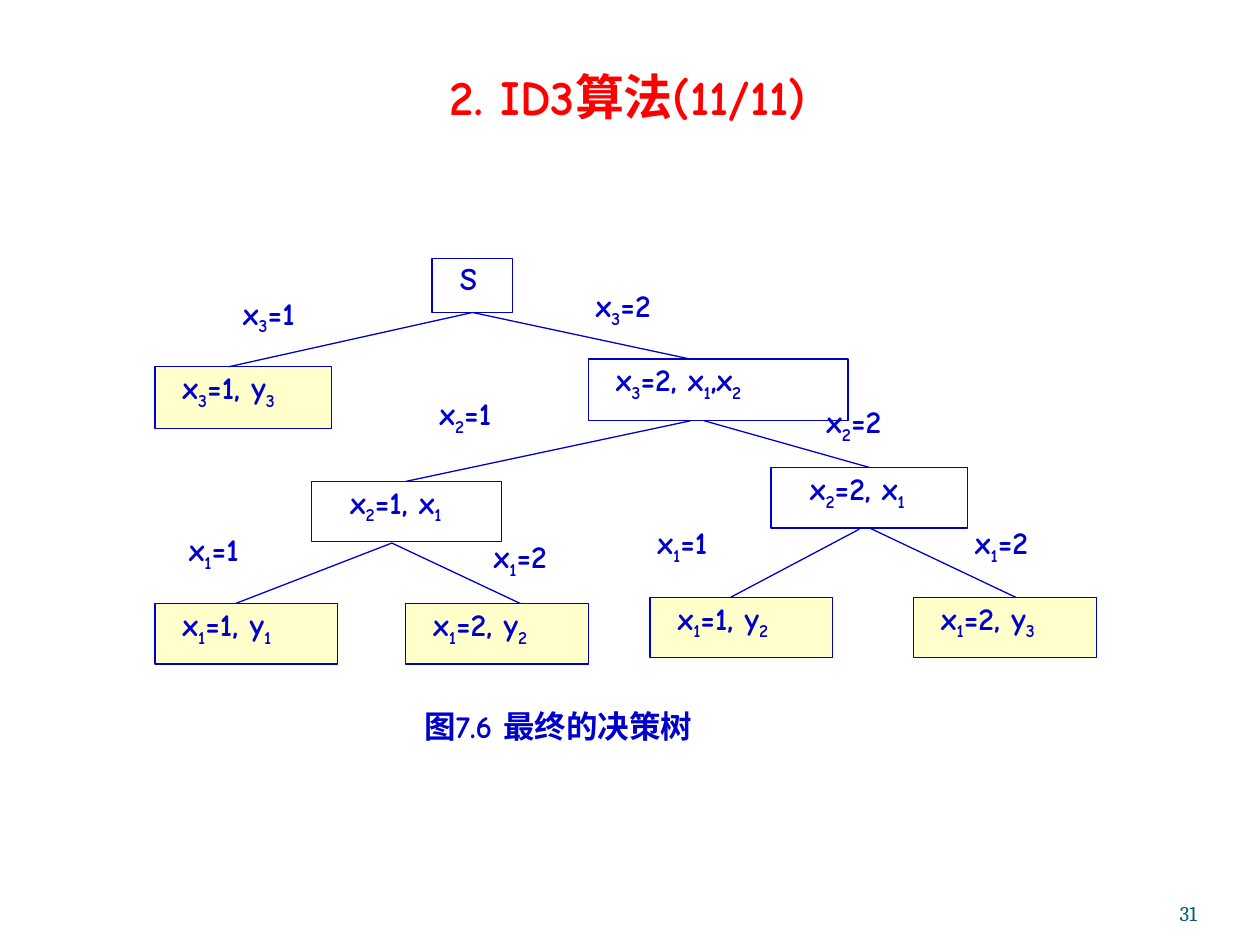
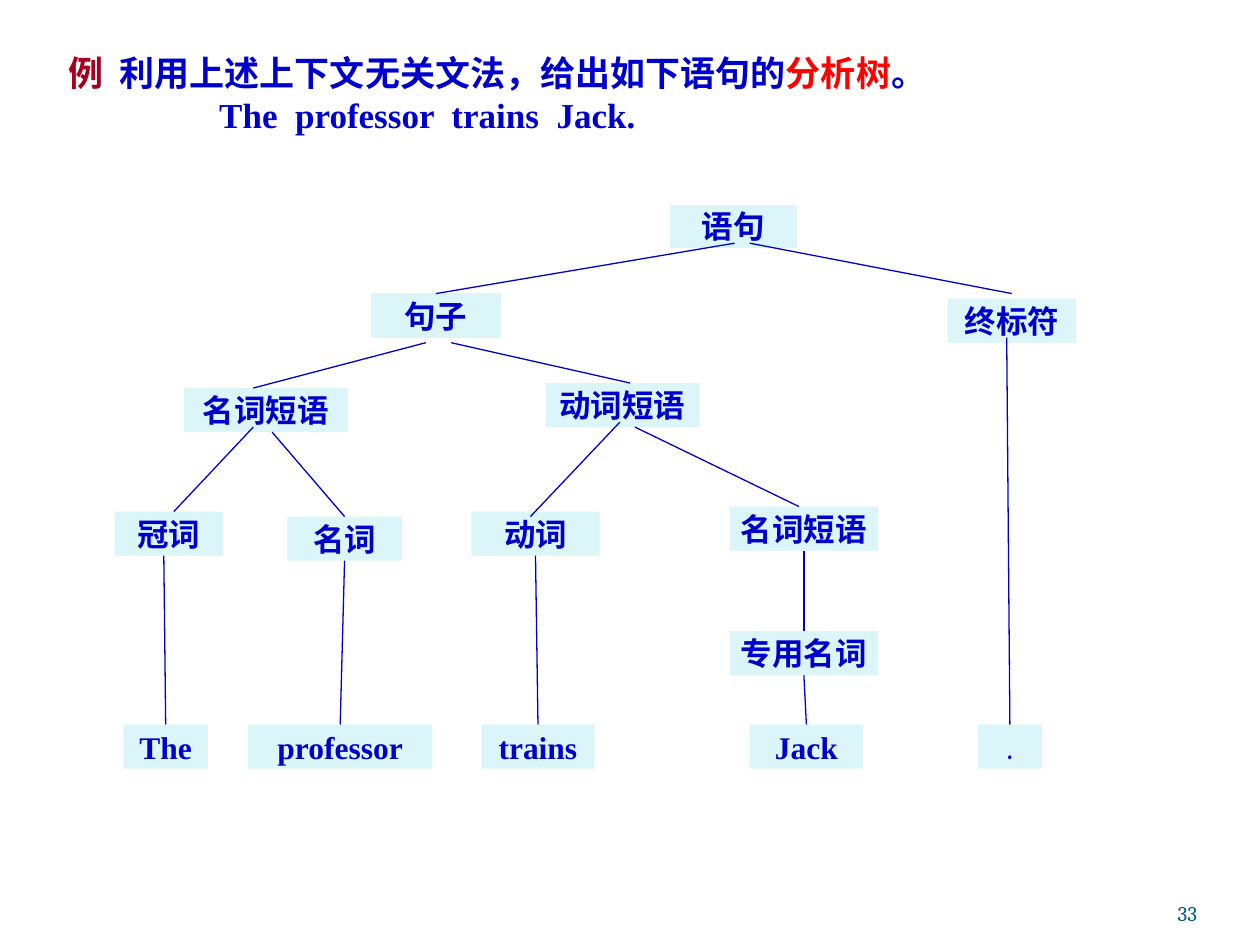
from dataclasses import dataclass

from lxml.etree import SubElement
from pptx import Presentation
from pptx.dml.color import RGBColor
from pptx.enum.shapes import MSO_CONNECTOR, MSO_SHAPE
from pptx.enum.text import MSO_ANCHOR, PP_ALIGN
from pptx.oxml.ns import qn
from pptx.util import Inches, Pt


@dataclass(frozen=True)
class Theme:
    blue: str = "0000CC"
    red: str = "FF0000"
    crimson: str = "A50021"
    teal: str = "045C75"
    white: str = "FFFFFF"
    leaf: str = "FFFFCC"
    aqua: str = "DBF5F9"
    hand: str = "Comic Neue"
    serif: str = "Times New Roman"
    footer: str = "Cambria"
    title_size: int = 28
    example_size: int = 20
    body_size: int = 18
    number_size: int = 12
    line_width: float = 0.75


THEME = Theme()
TIGHT = (0.06, 0.01, 0.06, 0.01)
PADDED = (0.1, 0.05, 0.1, 0.05)
JOIN_TOLERANCE = 0.03

DECISIONS = [
    ("S", 3.43, 2.05, 0.64, 0.43, THEME.white, 0.22),
    ("x_3=1, y_3", 1.23, 2.91, 1.4, 0.49, THEME.leaf, 0.22),
    ("x_3=2, x_1,x_2", 4.67, 2.85, 2.06, 0.49, THEME.white, 0.22),
    ("x_2=1, x_1", 2.47, 3.82, 1.51, 0.48, THEME.white, 0.31),
    ("x_2=2, x_1", 6.12, 3.71, 1.56, 0.48, THEME.white, 0.31),
    ("x_1=1, y_1", 1.23, 4.79, 1.45, 0.48, THEME.leaf, 0.22),
    ("x_1=2, y_2", 3.22, 4.79, 1.45, 0.48, THEME.leaf, 0.22),
    ("x_1=1, y_2", 5.16, 4.74, 1.45, 0.48, THEME.leaf, 0.22),
    ("x_1=2, y_3", 7.25, 4.74, 1.45, 0.48, THEME.leaf, 0.22),
]
DECISION_LINES = [
    (3.76, 2.48, 1.82, 2.91),
    (3.76, 2.48, 5.48, 2.85),
    (5.48, 3.34, 3.22, 3.82),
    (5.59, 3.34, 6.88, 3.71),
    (3.11, 4.31, 1.87, 4.79),
    (3.11, 4.31, 4.13, 4.79),
    (6.82, 4.2, 5.8, 4.74),
    (6.88, 4.2, 8.06, 4.74),
]
BRANCH_LABELS = [
    ("x_3=1", 1.87, 2.32),
    ("x_3=2", 4.67, 2.26),
    ("x_2=1", 3.43, 3.12),
    ("x_2=2", 6.5, 3.18),
    ("x_1=1", 1.44, 4.2),
    ("x_1=2", 3.86, 4.25),
    ("x_1=1", 5.16, 4.14),
    ("x_1=2", 7.68, 4.14),
]
GRAMMAR = [
    ("语句", 5.31, 1.62, 1.02),
    ("句子", 2.95, 2.33, 1.02),
    ("终标符", 7.52, 2.37, 1.02),
    ("动词短语", 4.33, 3.04, 1.22),
    ("名词短语", 1.46, 3.08, 1.3),
    ("冠词", 0.91, 4.06, 0.86),
    ("名词", 2.28, 4.1, 0.91),
    ("动词", 3.74, 4.06, 1.02),
    ("名词短语", 5.79, 4.02, 1.18),
    ("专用名词", 5.79, 5.01, 1.18),
]
WORDS = [
    ("The", 0.98, 0.67),
    ("professor", 1.97, 1.46),
    ("trains", 3.82, 0.9),
    ("Jack", 5.95, 0.9),
    (".", 7.76, 0.51),
]
WORD_TOP = 5.75
GRAMMAR_LINES = [
    (5.83, 1.93, 3.46, 2.33),
    (5.95, 1.93, 8.03, 2.33),
    (3.38, 2.72, 2.01, 3.08),
    (3.58, 2.72, 5, 3.04),
    (2.01, 3.39, 1.38, 4.06),
    (2.16, 3.43, 2.72, 4.1),
    (4.92, 3.35, 4.21, 4.1),
    (5.04, 3.39, 6.34, 4.02),
    (1.3, 4.41, 1.3, 5.72),
    (2.72, 4.46, 2.72, 5.75),
    (4.25, 4.38, 4.25, 5.75),
    (6.38, 4.34, 6.38, 5.01),
    (6.38, 5.36, 6.38, 5.72),
    (7.99, 2.68, 7.99, 5.72),
]


def color(value):
    return RGBColor.from_string(value)


def set_frame(shape, insets, anchor=MSO_ANCHOR.TOP, wrap=True):
    frame = shape.text_frame
    frame.word_wrap = wrap
    frame.vertical_anchor = anchor
    frame.margin_left, frame.margin_top, frame.margin_right, frame.margin_bottom = map(Inches, insets)
    return frame


def style(para, size, font=THEME.hand, ink=THEME.blue, bold=True, align=PP_ALIGN.LEFT):
    para.alignment = align
    para.font.size = Pt(size)
    para.font.name = font
    para.font.bold = bold
    para.font.color.rgb = color(ink)


def write_formula(para, formula):
    first, *rest = formula.split("_")
    para.add_run().text = first
    for part in rest:
        span = para.add_run()
        span.text = part[0]
        span._r.get_or_add_rPr().set("baseline", "-25000")
        if part[1:]:
            para.add_run().text = part[1:]


def add_text(page, text, bounds, insets=PADDED, anchor=MSO_ANCHOR.TOP, **look):
    box = page.shapes.add_textbox(*map(Inches, bounds))
    para = set_frame(box, insets, anchor).paragraphs[0]
    style(para, **look)
    write_formula(para, text)


def add_box(page, bounds, fill, outline=None):
    box = page.shapes.add_shape(MSO_SHAPE.RECTANGLE, *map(Inches, bounds))
    box.shadow.inherit = False
    box.fill.solid()
    box.fill.fore_color.rgb = color(fill)
    if outline:
        box.line.color.rgb = color(outline)
        box.line.width = Pt(THEME.line_width)
    else:
        box.line.fill.background()
    return box


def add_decision(page, formula, left, top, width, height, fill, indent):
    box = add_box(page, (left, top, width, height), fill, THEME.blue)
    para = set_frame(box, (indent, *TIGHT[1:])).paragraphs[0]
    style(para, THEME.body_size)
    write_formula(para, formula)
    return box


def add_grammar_node(page, text, left, top, width, font=THEME.hand):
    outline = {"语句": THEME.white, "句子": THEME.aqua}.get(text)
    box = add_box(page, (left, top, width, 0.35), THEME.aqua, outline)
    para = set_frame(box, PADDED, MSO_ANCHOR.MIDDLE, wrap=False).paragraphs[0]
    para.text = text
    style(para, THEME.body_size, font, align=PP_ALIGN.CENTER)
    return box


def join_if_touching(connect, x, y, boxes):
    for box in boxes:
        middle = box.left + box.width / 2
        for site, side in ((0, box.top), (2, box.top + box.height)):
            if max(abs(Inches(x) - middle), abs(Inches(y) - side)) <= Inches(JOIN_TOLERANCE):
                connect(box, site)
                return


def add_branch(page, ends, boxes):
    branch = page.shapes.add_connector(MSO_CONNECTOR.STRAIGHT, *map(Inches, ends))
    branch.line.color.rgb = color(THEME.blue)
    branch.line.width = Pt(THEME.line_width)
    SubElement(branch._element.spPr, qn("a:effectLst"))
    join_if_touching(branch.begin_connect, *ends[:2], boxes)
    join_if_touching(branch.end_connect, *ends[2:], boxes)


def add_page(deck, number):
    page = deck.slides.add_slide(deck.slide_layouts[6])
    add_text(page, str(number), (8.67, 6.95, 0.83, 0.4), (0, 0, 0, 0), MSO_ANCHOR.BOTTOM,
             size=THEME.number_size, font=THEME.footer, ink=THEME.teal, bold=False, align=PP_ALIGN.RIGHT)
    return page


def add_example(page):
    box = page.shapes.add_textbox(*map(Inches, (0.2, 0.36, 9.57, 0.77)))
    frame = set_frame(box, (0.34, *PADDED[1:]))
    task, sentence = frame.paragraphs[0], frame.add_paragraph()
    for para in (task, sentence):
        style(para, THEME.example_size, THEME.serif)
    for text, ink in (
        ("例\t", THEME.crimson),
        ("利用上述上下文无关文法，给出如下语句的", THEME.blue),
        ("分析树", THEME.red),
        ("。", THEME.blue),
    ):
        span = task.add_run()
        span.text = text
        span.font.color.rgb = color(ink)
    properties = task._p.get_or_add_pPr()
    stops = properties.makeelement(qn("a:tabLst"), {})
    SubElement(stops, qn("a:tab"), pos=str(Inches(0.41)), algn="l")
    properties.find(qn("a:defRPr")).addprevious(stops)
    sentence.add_run().text = "The  professor  trains  Jack."
    sentence._p.get_or_add_pPr().set("marL", str(Inches(1.2)))
    sentence._p.get_or_add_pPr().set("indent", "0")


def build_decision_tree(deck):
    page = add_page(deck, 31)
    boxes = [add_decision(page, *decision) for decision in DECISIONS]
    for ends in DECISION_LINES:
        add_branch(page, ends, boxes)
    for formula, left, top in BRANCH_LABELS:
        add_text(page, formula, (left, top, 0.81, 0.38), TIGHT, size=THEME.body_size)
    caption = add_box(page, (3.27, 5.56, 3.23, 0.54), THEME.white)
    para = set_frame(caption, PADDED).paragraphs[0]
    para.text = "图7.6 最终的决策树"
    style(para, THEME.body_size)
    add_text(page, "2. ID3算法(11/11)", (0.83, 0.48, 8.31, 0.57),
             size=THEME.title_size, ink=THEME.red, align=PP_ALIGN.CENTER)


def build_parse_tree(deck):
    page = add_page(deck, 33)
    add_example(page)
    boxes = [add_grammar_node(page, *node) for node in GRAMMAR]
    for word, left, width in WORDS:
        font = THEME.serif if word.isalpha() else THEME.hand
        boxes.append(add_grammar_node(page, word, left, WORD_TOP, width, font))
    for ends in GRAMMAR_LINES:
        add_branch(page, ends, boxes)


def main():
    deck = Presentation()
    deck.slide_width, deck.slide_height = Inches(10), Inches(7.5)
    build_decision_tree(deck)
    build_parse_tree(deck)
    deck.save("out.pptx")


if __name__ == "__main__":
    main()
